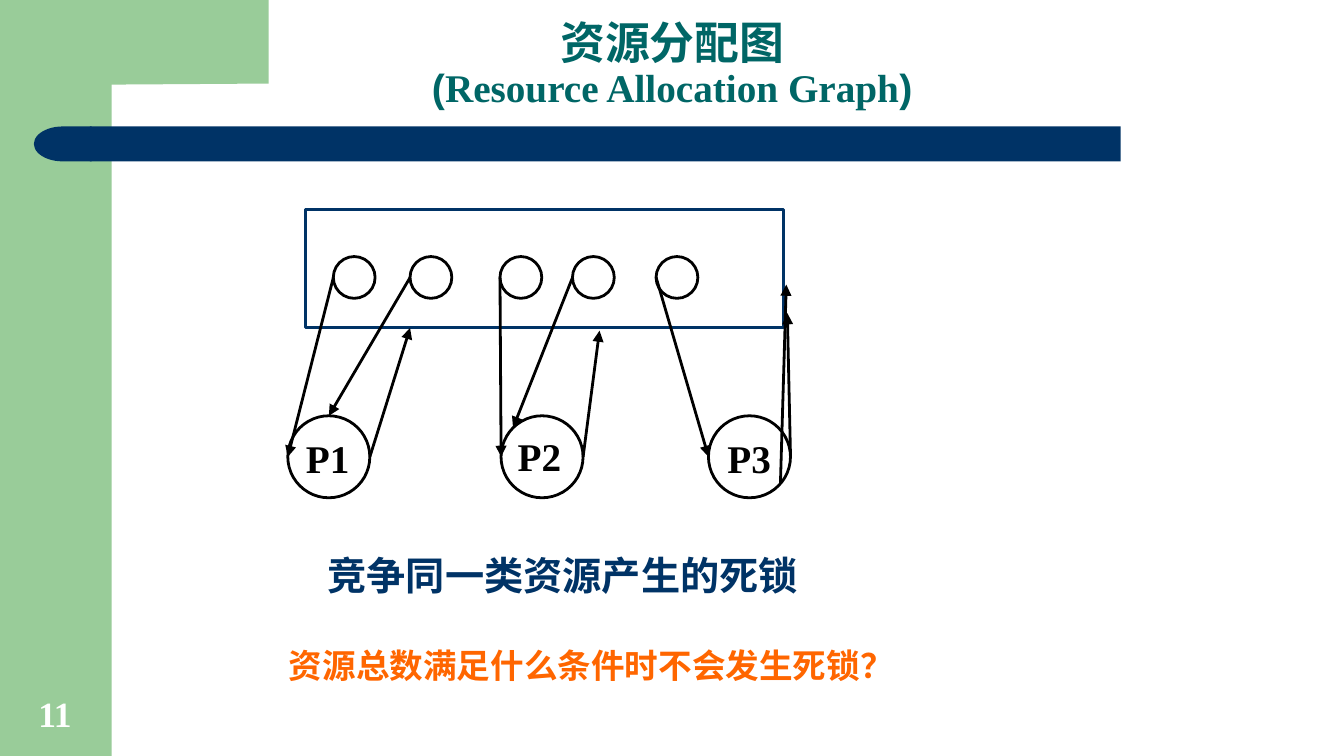
"""Build the resource allocation graph slide."""
from math import cos, radians, sin

from lxml.etree import SubElement
from pptx import Presentation
from pptx.dml.color import RGBColor
from pptx.enum.shapes import MSO_CONNECTOR, MSO_SHAPE
from pptx.enum.text import MSO_ANCHOR, PP_ALIGN
from pptx.oxml.ns import qn
from pptx.util import Cm, Pt

GREEN, NAVY, TEAL, ORANGE = "99CC99", "003366", "006666", "FF6600"
BLACK, WHITE = "000000", "FFFFFF"
SANS, SERIF = "Arial", "Times New Roman"

CORNER = [(5.08, 0), (5.08, 1.58), (2.11, 1.6), (1.96, 1.63), (1.8, 1.75),
          (1.73, 1.98), (1.7, 2.21), (1.7, 2.44), (1.27, 2.44), (1.27, 0)]
BANDS = [
    (MSO_SHAPE.RECTANGLE, (1.7, 2.39, 19.48, 0.66), 0),
    (MSO_SHAPE.FLOWCHART_DELAY, (0.64, 2.39, 1.09, 0.66), 180),
]
POOL = (5.77, 3.96, 9.04, 2.24)
UNIT_LEFTS, UNIT_TOP, UNIT_SIZE = [6.3, 7.75, 9.45, 10.82, 12.4], 4.85, 0.79
PROCESS_LEFTS, PROCESS_TOP, PROCESS_SIZE = [5.44, 9.47, 13.39], 7.86, 1.55
LEFT, UPPER_LEFT, TOP, RIGHT, LOWER_RIGHT = 180, 225, 270, 0, 41
ASSIGNMENTS = [(0, 0, LEFT), (1, 0, TOP), (2, 1, LEFT), (3, 1, UPPER_LEFT), (4, 2, LEFT)]
REQUESTS = [
    (0, RIGHT, (7.75, 6.2)),
    (1, RIGHT, (11.33, 6.25)),
    (2, RIGHT, (14.88, 5.92)),
    (2, LOWER_RIGHT, (14.86, 5.38)),
]

TITLE = [
    [("资源分配图", 24, SANS, TEAL)],
    [("(", 21, SANS, TEAL), ("Resource Allocation Graph", 21, SERIF, TEAL),
     (")", 21, SANS, TEAL)],
]
TEXTS = [
    ((3.33, 0.15, 18.75, 2.08), MSO_ANCHOR.BOTTOM, 0.9, TITLE),
    ((5.72, 10.29, 9.83, 1.14), MSO_ANCHOR.TOP, 1,
     [[("竞争同一类资源产生的死锁", 21, SANS, NAVY)]]),
    ((5.28, 8.08, 1.83, 1.14), MSO_ANCHOR.TOP, 1, [[("P1", 21, SERIF, BLACK)]]),
    ((9.47, 8.05, 1.45, 1.14), MSO_ANCHOR.TOP, 1, [[("P2", 21, SERIF, BLACK)]]),
    ((13.36, 8.08, 1.6, 1.14), MSO_ANCHOR.TOP, 1, [[("P3", 21, SERIF, BLACK)]]),
    ((0, 13, 2.08, 1.02), MSO_ANCHOR.BOTTOM, 1, [[("11", 19, SERIF, WHITE)]]),
    ((3.07, 12.07, 16.21, 1.02), MSO_ANCHOR.TOP, 1,
     [[("资源总数满足什么条件时不会发生死锁？", 18, SERIF, ORANGE)]]),
]


def color(value):
    return RGBColor.from_string(value)


def lengths(values):
    return [Cm(value) for value in values]


def paint(shape, fill=None, line=None):
    shape.shadow.inherit = False
    if fill:
        shape.fill.solid()
        shape.fill.fore_color.rgb = color(fill)
    else:
        shape.fill.background()
    if line:
        shape.line.color.rgb = color(line)
        shape.line.width = Pt(1.5)
    else:
        shape.line.fill.background()


def add_shape(page, kind, bounds, fill=None, line=None):
    shape = page.shapes.add_shape(kind, *lengths(bounds))
    paint(shape, fill, line)
    return shape


def rim(left, top, size, angle):
    radius = size / 2
    return (left + radius * (1 + cos(radians(angle))),
            top + radius * (1 + sin(radians(angle))))


def unit_rim(index, angle):
    return rim(UNIT_LEFTS[index], UNIT_TOP, UNIT_SIZE, angle)


def process_rim(index, angle):
    return rim(PROCESS_LEFTS[index], PROCESS_TOP, PROCESS_SIZE, angle)


def add_arrow(page, start, end):
    arrow = page.shapes.add_connector(MSO_CONNECTOR.STRAIGHT, *lengths(start + end))
    arrow.line.color.rgb = color(BLACK)
    arrow.line.width = Pt(1.5)
    SubElement(arrow.line._get_or_add_ln(), qn("a:tailEnd"), type="triangle")
    SubElement(arrow._element.spPr, qn("a:effectLst"))


def add_text(page, bounds, anchor, spacing, lines):
    frame = page.shapes.add_textbox(*lengths(bounds)).text_frame
    frame.word_wrap = True
    frame.vertical_anchor = anchor
    para = frame.paragraphs[0]
    para.alignment = PP_ALIGN.CENTER
    para.line_spacing = spacing
    for number, line in enumerate(lines):
        if number:
            para.add_line_break()
        for text, size, font, tint in line:
            span = para.add_run()
            span.text = text
            for name, value in {"size": Pt(size), "name": font, "bold": True}.items():
                setattr(span.font, name, value)
            span.font.color.rgb = color(tint)


def main():
    deck = Presentation()
    deck.slide_width, deck.slide_height = Cm(25.4), Cm(14.29)
    page = deck.slides.add_slide(deck.slide_layouts[6])

    add_shape(page, MSO_SHAPE.RECTANGLE, (0, 0, 2.11, 14.29), GREEN)
    first, *others = [lengths(point) for point in CORNER]
    outline = page.shapes.build_freeform(*first)
    outline.add_line_segments(others, close=True)
    paint(outline.convert_to_shape(), GREEN)
    for kind, bounds, turn in BANDS:
        add_shape(page, kind, bounds, NAVY).rotation = turn

    add_shape(page, MSO_SHAPE.RECTANGLE, POOL, line=NAVY)
    for lefts, top, size in ((UNIT_LEFTS, UNIT_TOP, UNIT_SIZE),
                             (PROCESS_LEFTS, PROCESS_TOP, PROCESS_SIZE)):
        for left in lefts:
            add_shape(page, MSO_SHAPE.OVAL, (left, top, size, size), line=BLACK)

    for unit, process, angle in ASSIGNMENTS:
        add_arrow(page, unit_rim(unit, LEFT), process_rim(process, angle))
    for process, angle, target in REQUESTS:
        add_arrow(page, process_rim(process, angle), target)

    for text in TEXTS:
        add_text(page, *text)
    deck.save("out.pptx")


if __name__ == "__main__":
    main()
